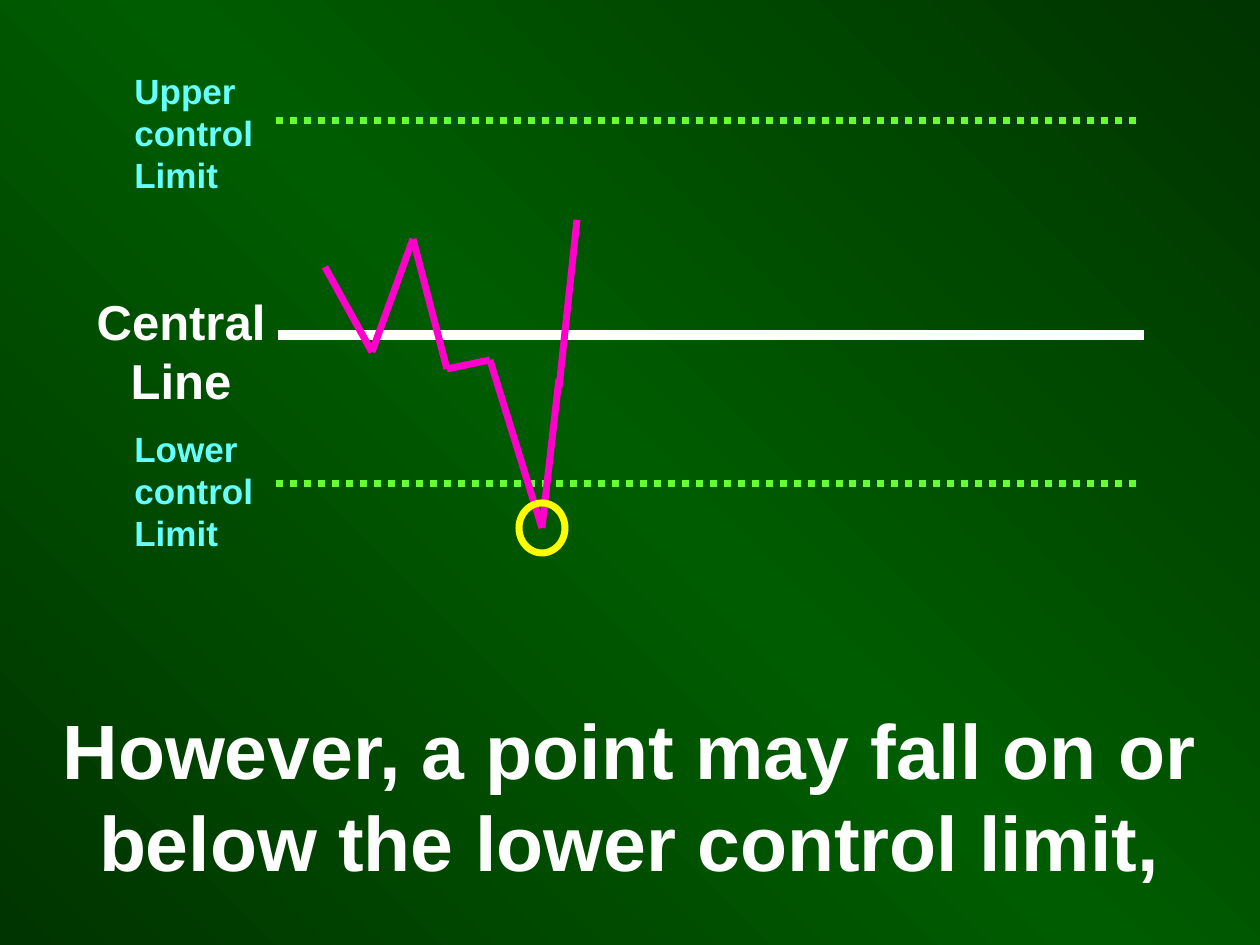
from copy import deepcopy
from itertools import pairwise

from pptx import Presentation
from pptx import util as u
from pptx.dml.color import RGBColor
from pptx.enum import dml, shapes, text
from pptx.oxml.ns import qn
from pptx.oxml.xmlchemy import OxmlElement

PX = 914400 // 126
THEME = {
    "font": "Arial",
    "background": [(0, "003400"), (0.5, "005C00"), (1, "003400")],
    "white": "FFFFFF", "label": "66FFFF", "limit": "66FF33",
    "data": "FF00CC", "marker": "FFFF00",
    "caption_size": 44, "central_size": 28, "label_size": 20,
    "thick": 6, "thin": 4,
}

# box in px, paragraphs, size, colour, alignment, wrap
TEXTS = [
    ((0, 696, 1260, 198), ["However, a point may fall on or below the lower control limit,"],
     "caption_size", "white", text.PP_ALIGN.CENTER, True),
    ((84, 285, 194, 131), ["Central", "Line"],
     "central_size", "white", text.PP_ALIGN.CENTER, False),
    ((122, 63, 151, 139), ["Upper", "control", "Limit"],
     "label_size", "label", text.PP_ALIGN.LEFT, True),
    ((122, 421, 161, 139), ["Lower", "control", "Limit"],
     "label_size", "label", text.PP_ALIGN.LEFT, True),
]
CENTRAL_LINE = ((278, 335), (1144, 335))
LIMIT_SPAN = (276, 1143)
LIMIT_LEVELS = [121, 484]
# The last rise is drawn as two strokes that overlap slightly
DATA_RUNS = [
    [(325, 267), (372, 352), (413, 239), (447, 369), (490, 360), (542, 528), (559, 379)],
    [(559, 388), (577, 220)],
]
OUT_OF_CONTROL = (542, 528)
MARKER_SIZE = (46, 50)


def emu(values):
    return [v * PX for v in values]


def color(name):
    return RGBColor.from_string(THEME[name])


def set_background(s):
    fill = s.background.fill
    fill.gradient()
    stops = s._element.find(".//" + qn("a:gsLst"))
    stops.append(deepcopy(stops[-1]))
    for stop, (position, rgb) in zip(fill.gradient_stops, THEME["background"]):
        stop.position = position
        stop.color.rgb = RGBColor.from_string(rgb)
    fill.gradient_angle = 45


def style_line(line, name, width):
    line.color.rgb = color(name)
    line.width = u.Pt(THEME[width])


def add_line(s, start, end, name, width="thin", dash=None):
    c = s.shapes.add_connector(shapes.MSO_CONNECTOR.STRAIGHT, *emu(start + end))
    style_line(c.line, name, width)
    if dash:
        c.line.dash_style = dash
    c._element.spPr.append(OxmlElement("a:effectLst"))


def add_text(s, box, lines, size, name, align, wrap):
    tf = s.shapes.add_textbox(*emu(box)).text_frame
    tf.word_wrap = wrap
    tf.auto_size = text.MSO_AUTO_SIZE.SHAPE_TO_FIT_TEXT
    tf.text = "\n".join(lines)
    font = {"name": THEME["font"], "size": u.Pt(THEME[size]), "bold": True}
    for p in tf.paragraphs:
        p.alignment = align
        for r in p.runs:
            for key, value in font.items():
                setattr(r.font, key, value)
            r.font.color.rgb = color(name)


def add_marker(s, center, size):
    corner = [c - d // 2 for c, d in zip(center, size)]
    sp = s.shapes.add_shape(shapes.MSO_SHAPE.OVAL, *emu(corner), *emu(size))
    sp.shadow.inherit = False
    sp.fill.background()
    style_line(sp.line, "marker", "thin")


def main():
    prs = Presentation()
    prs.slide_width, prs.slide_height = u.Inches(10), u.Inches(7.5)
    s = prs.slides.add_slide(prs.slide_layouts[6])
    set_background(s)

    add_line(s, *CENTRAL_LINE, "white", "thick")
    left, right = LIMIT_SPAN
    for y in LIMIT_LEVELS:
        add_line(s, (left, y), (right, y), "limit", dash=dml.MSO_LINE.ROUND_DOT)
    for item in TEXTS:
        add_text(s, *item)
    for run in DATA_RUNS:
        for start, end in pairwise(run):
            add_line(s, start, end, "data")
    add_marker(s, OUT_OF_CONTROL, MARKER_SIZE)

    prs.save("out.pptx")


if __name__ == "__main__":
    main()
